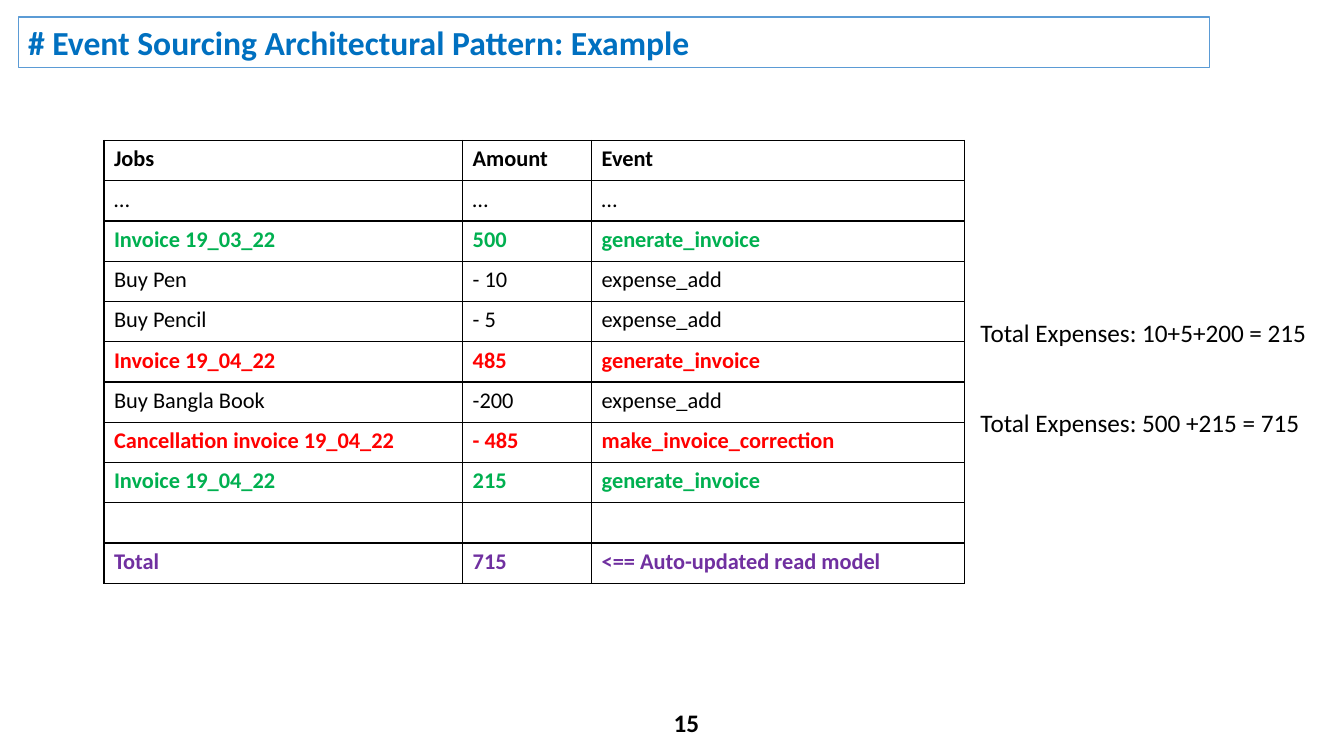
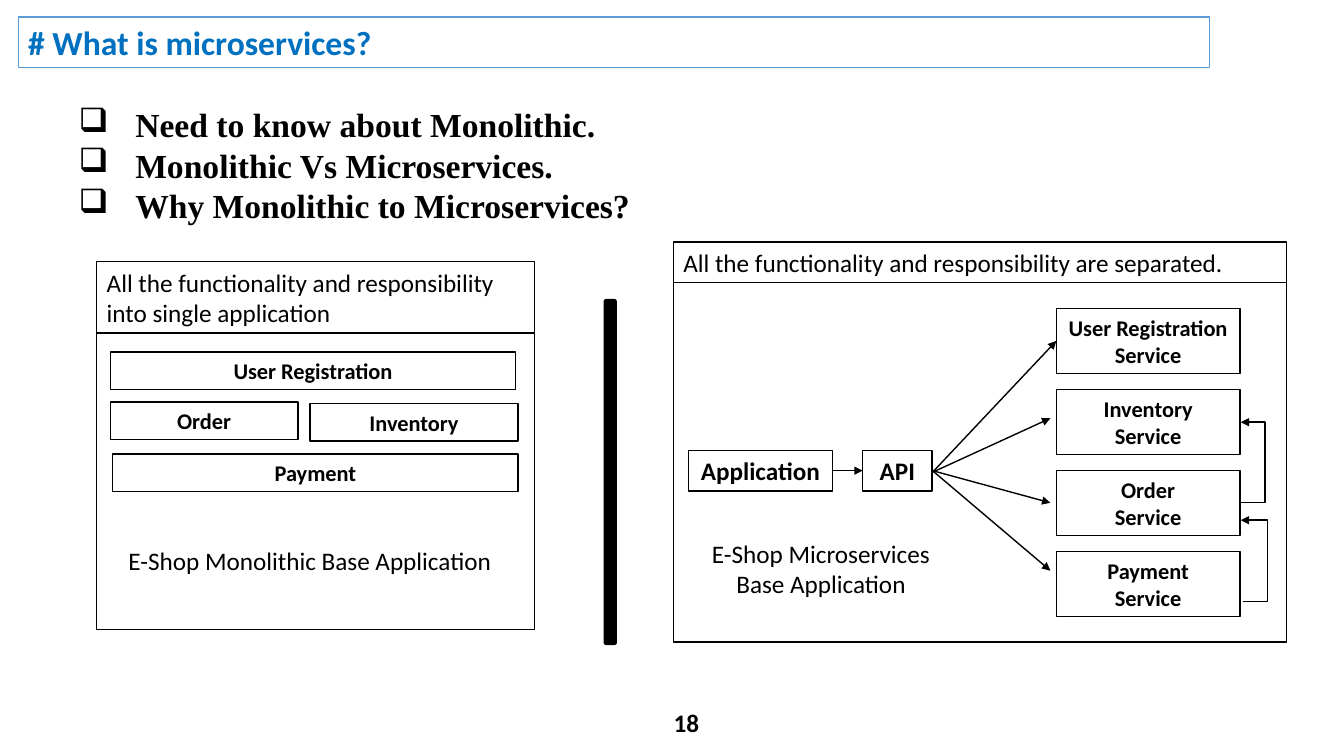
from dataclasses import dataclass
from typing import Any

from lxml import etree
from pptx import Presentation
from pptx import util as u
from pptx.dml.color import RGBColor
from pptx.enum import shapes as es
from pptx.enum import text as et
from pptx.oxml.ns import qn

WHITE = RGBColor(0xFF, 0xFF, 0xFF)
BLACK = RGBColor(0x00, 0x00, 0x00)
BLUE = RGBColor(0x00, 0x70, 0xC0)
FRAME = RGBColor(0x5B, 0x9B, 0xD5)
GREEN = RGBColor(0x00, 0xB0, 0x50)
RED = RGBColor(0xFF, 0x00, 0x00)
PURPLE = RGBColor(0x70, 0x30, 0xA0)

LEFT = et.PP_ALIGN.LEFT
MID = et.PP_ALIGN.CENTER
RECT = es.MSO_SHAPE.RECTANGLE
ROUND = es.MSO_SHAPE.ROUNDED_RECTANGLE

BODY = {"name": "Calibri", "size": u.Pt(18), "bold": False}
STRONG = BODY | {"bold": True}
LABEL = STRONG | {"size": u.Pt(16)}
CELL = BODY | {"size": u.Pt(16)}
TITLE = STRONG | {"size": u.Pt(24)}
POINT = TITLE | {"name": "Times New Roman"}


@dataclass
class Box:
    x: float
    y: float
    w: float
    h: float
    text: str = ""
    font: dict[str, Any] | None = None
    align: Any = MID
    color: RGBColor = BLACK
    fill: RGBColor = WHITE
    line: RGBColor = BLACK
    kind: Any = RECT


@dataclass
class Note:
    x: float
    y: float
    w: float
    h: float
    text: str
    font: dict[str, Any]
    align: Any = LEFT
    wrap: bool = True


@dataclass
class Link:
    x1: float
    y1: float
    x2: float
    y2: float
    via: float | None = None


@dataclass
class Row:
    cells: tuple[str, str, str]
    color: RGBColor = BLACK
    bold: bool = True


def put(item: Any, form: dict[str, Any]) -> None:
    for key, val in form.items():
        setattr(item, key, val)


def write(frame: Any, words: str, font: dict[str, Any], align: Any = LEFT,
          color: RGBColor = BLACK) -> None:
    frame.text = words
    for para in frame.paragraphs:
        para.alignment = align
        for run in para.runs:
            put(run.font, font)
            run.font.color.rgb = color


def stroke(line: Any, color: RGBColor) -> None:
    line.color.rgb = color
    line.width = u.Pt(1)


def draw_box(slide: Any, box: Box) -> None:
    shape = slide.shapes.add_shape(
        box.kind, u.Cm(box.x), u.Cm(box.y), u.Cm(box.w), u.Cm(box.h))
    shape.shadow.inherit = False
    shape.fill.solid()
    shape.fill.fore_color.rgb = box.fill
    stroke(shape.line, box.line)
    if box.text:
        shape.text_frame.word_wrap = True
        write(shape.text_frame, box.text, box.font or BODY, box.align, box.color)


def draw_note(slide: Any, note: Note) -> Any:
    area = slide.shapes.add_textbox(
        u.Cm(note.x), u.Cm(note.y), u.Cm(note.w), u.Cm(note.h))
    area.text_frame.word_wrap = note.wrap
    write(area.text_frame, note.text, note.font, note.align)
    return area


def draw_link(slide: Any, link: Link) -> None:
    kind = es.MSO_CONNECTOR.STRAIGHT if link.via is None else es.MSO_CONNECTOR.ELBOW
    wire = slide.shapes.add_connector(
        kind, u.Cm(link.x1), u.Cm(link.y1), u.Cm(link.x2), u.Cm(link.y2))
    stroke(wire.line, BLACK)
    props = wire.element.spPr
    etree.SubElement(props.find(qn("a:ln")), qn("a:tailEnd"), type="triangle")
    etree.SubElement(props, qn("a:effectLst"))
    if link.via is not None:
        bend = round((link.via - link.x1) / (link.x2 - link.x1) * 100000)
        geom = props.find(qn("a:prstGeom"))
        guide = geom.find(qn("a:avLst"))
        if guide is None:
            guide = etree.SubElement(geom, qn("a:avLst"))
        etree.SubElement(guide, qn("a:gd"), name="adj1", fmla=f"val {bend}")


def edge_cell(cell: Any) -> None:
    props = cell._tc.get_or_add_tcPr()
    for spot, side in enumerate(("a:lnL", "a:lnR", "a:lnT", "a:lnB")):
        edge = etree.Element(qn(side), w=str(u.Pt(1)))
        fill = etree.SubElement(edge, qn("a:solidFill"))
        etree.SubElement(fill, qn("a:srgbClr"), val=str(BLACK))
        props.insert(spot, edge)


def draw_table(slide: Any, x: float, y: float, cols: tuple[float, ...],
               high: float, rows: list[Row]) -> None:
    table = slide.shapes.add_table(
        len(rows), len(cols), u.Cm(x), u.Cm(y),
        u.Cm(sum(cols)), u.Cm(high * len(rows))).table
    put(table, {"first_row": False, "horz_banding": False})
    for col, wide in zip(table.columns, cols):
        col.width = u.Cm(wide)
    for line, row in zip(table.rows, rows):
        line.height = u.Cm(high)
        for cell, words in zip(line.cells, row.cells):
            cell.fill.solid()
            cell.fill.fore_color.rgb = WHITE
            edge_cell(cell)
            write(cell.text_frame, words, CELL | {"bold": row.bold}, color=row.color)


def draw_list(slide: Any, note: Note) -> None:
    hang = u.Cm(1.43)
    for para in draw_note(slide, note).text_frame.paragraphs:
        para.line_spacing = u.Pt(29)
        props = para._p.get_or_add_pPr()
        props.set("marL", str(hang))
        props.set("indent", str(-hang))
        etree.SubElement(props, qn("a:buChar"), char="❑")


def new_slide(deck: Any, title: str, page: int) -> Any:
    slide = deck.slides.add_slide(deck.slide_layouts[6])
    draw_box(slide, Box(0.46, 0.43, 30.02, 1.28, title, TITLE, LEFT, BLUE, line=FRAME))
    draw_note(slide, Note(16.56, 17.7, 1.48, 1.02, str(page), STRONG, MID))
    return slide


def event_slide(deck: Any) -> None:
    slide = new_slide(deck, "# Event Sourcing Architectural Pattern: Example", 15)
    draw_table(slide, 2.62, 3.54, (9.04, 3.25, 9.4), 1.015, [
        Row(("Jobs", "Amount", "Event")),
        Row(("…", "…", "…"), bold=False),
        Row(("Invoice 19_03_22", "500", "generate_invoice"), GREEN),
        Row(("Buy Pen", "- 10", "expense_add"), bold=False),
        Row(("Buy Pencil", "- 5", "expense_add"), bold=False),
        Row(("Invoice 19_04_22", "485", "generate_invoice"), RED),
        Row(("Buy Bangla Book", "-200", "expense_add"), bold=False),
        Row(("Cancellation invoice 19_04_22", "- 485", "make_invoice_correction"), RED),
        Row(("Invoice 19_04_22", "215", "generate_invoice"), GREEN),
        Row(("", "", "")),
        Row(("Total", "715", "<== Auto-updated read model"), PURPLE),
    ])
    for y, words in ((7.87, "Total Expenses: 10+5+200 = 215"),
                     (10.14, "Total Expenses: 500 +215 = 715")):
        draw_note(slide, Note(24.46, y, 9.1, 1.02, words, BODY, wrap=False))


def draw_mono(slide: Any) -> None:
    for box in (
        Box(2.44, 8.4, 11.03, 7.47),
        Box(2.78, 8.87, 10.22, 0.94, "User Registration", LABEL),
        Box(7.81, 10.17, 5.25, 0.94, "Inventory", LABEL),
        Box(2.78, 10.13, 4.73, 0.94, "Order", LABEL),
        Box(2.84, 11.44, 10.22, 0.94, "Payment", LABEL),
        Box(2.44, 6.59, 11.03, 1.8,
            "All the functionality and responsibility into single application", BODY, LEFT),
    ):
        draw_box(slide, box)
    draw_note(slide, Note(2.78, 13.61, 10.06, 1.02,
                          "E-Shop Monolithic Base Application", BODY, MID))


def draw_micro(slide: Any) -> None:
    draw_box(slide, Box(16.97, 7.1, 15.45, 9.08))
    draw_box(slide, Box(16.97, 6.1, 15.45, 1.02,
                        "All the functionality and responsibility are separated.", BODY, LEFT))
    for spot, name in enumerate(("User Registration", "Inventory", "Order", "Payment")):
        draw_box(slide, Box(26.62, 7.78 + 2.04 * spot, 4.63, 1.63,
                            f"{name}\nService", LABEL))
    draw_box(slide, Box(21.74, 11.35, 1.75, 1.02, "API", STRONG))
    draw_box(slide, Box(17.35, 11.35, 3.63, 1.02, "Application", STRONG))
    for link in (
        Link(20.98, 11.86, 21.74, 11.86),
        Link(23.5, 11.9, 26.62, 8.59),
        Link(23.5, 11.9, 26.47, 10.54),
        Link(23.5, 11.86, 26.47, 12.67),
        Link(23.5, 11.86, 26.47, 14.38),
        Link(31.32, 15.16, 31.27, 13.11, 31.95),
        Link(31.24, 12.67, 31.27, 10.64, 31.88),
    ):
        draw_link(slide, link)
    draw_note(slide, Note(17.58, 13.44, 6.22, 1.8,
                          "E-Shop Microservices Base Application", BODY, MID))


def service_slide(deck: Any) -> None:
    slide = new_slide(deck, "# What is microservices?", 18)
    draw_list(slide, Note(1.73, 2.49, 27.5, 3.33,
                          "Need to know about Monolithic.\n"
                          "Monolithic Vs Microservices.\n"
                          "Why Monolithic to Microservices?", POINT))
    draw_mono(slide)
    draw_box(slide, Box(15.23, 7.55, 0.3, 8.69, fill=BLACK, kind=ROUND))
    draw_micro(slide)


def main() -> None:
    deck = Presentation()
    put(deck, {"slide_width": u.Cm(33.87), "slide_height": u.Cm(19.05)})
    event_slide(deck)
    service_slide(deck)
    deck.save("out.pptx")


if __name__ == "__main__":
    main()
